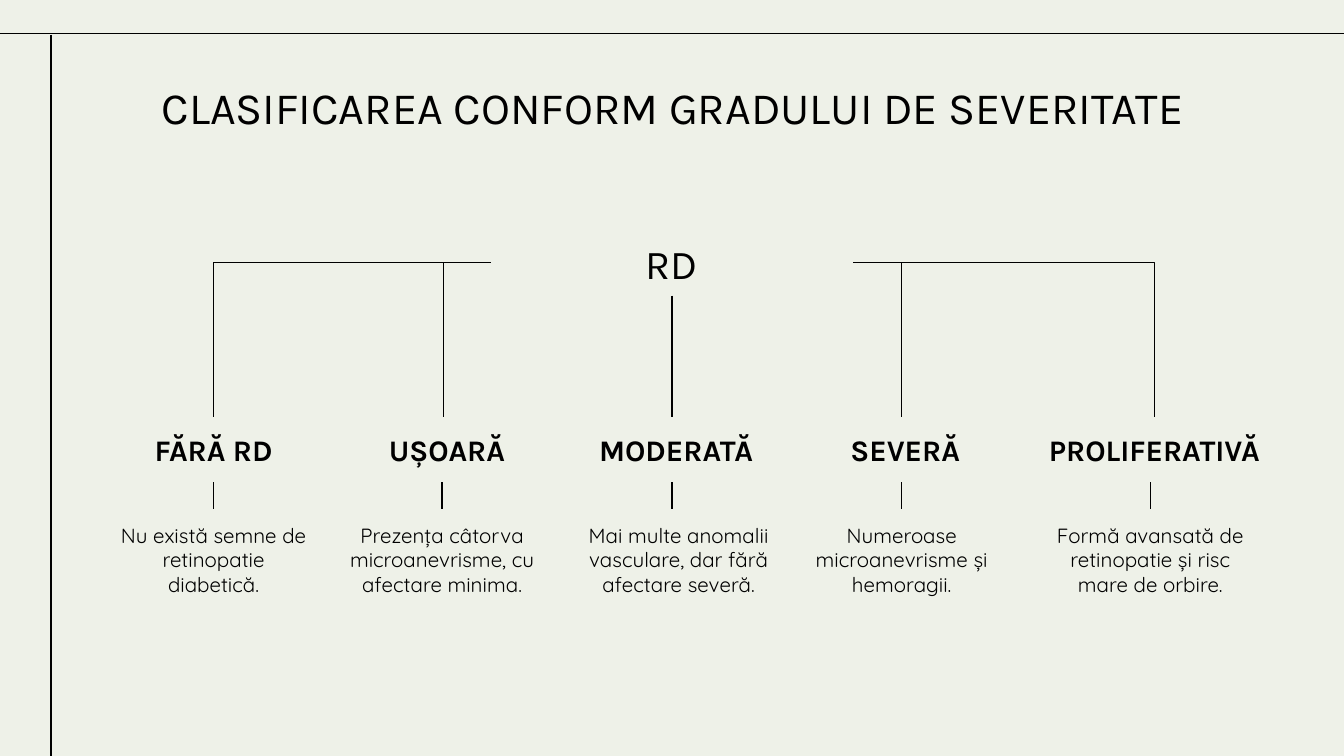
from lxml import etree
from pptx import Presentation
from pptx.dml.color import RGBColor
from pptx.enum.shapes import MSO_CONNECTOR
from pptx.enum.text import MSO_ANCHOR, PP_ALIGN
from pptx.oxml.ns import qn
from pptx.util import Inches, Pt

STRAIGHT, ELBOW = MSO_CONNECTOR.STRAIGHT, MSO_CONNECTOR.ELBOW
TOP_ANCHOR, MIDDLE = MSO_ANCHOR.TOP, MSO_ANCHOR.MIDDLE
CENTER = PP_ALIGN.CENTER
TOP, LEFT, BOTTOM, RIGHT = range(4)  # connection sites

COLORS = {"background": "EEF1E8", "ink": "000000"}
HEADING_FONT, BODY_FONT = "Karla", "Quicksand"
SLIDE_W = 10
SLIDE_H = SLIDE_W * 9 / 16
INSET = 0.1
LABEL_H, STEM_H, DESCRIPTION_H = 0.49, 0.2, 0.8
STEM_X = 0.8  # from the left edge of a description

# label, label left, label width, label indent, description, left, width
GRADES = [
    ("FĂRĂ RD", 0, 1.6, 0,
     "Nu există semne de retinopatie diabetică.", 0, 1.6),
    ("UȘOARĂ", 1.71, 1.6, 0.05,
     "Prezența câtorva microanevrisme, cu afectare minima.", 1.7, 1.6),
    ("MODERATĂ", 3.41, 1.6, 0.06,
     "Mai multe anomalii vasculare, dar fără afectare severă.", 3.41, 1.7),
    ("SEVERĂ", 5.12, 1.6, 0.05,
     "Numeroase microanevrisme și hemoragii.", 5.12, 1.6),
    ("PROLIFERATIVĂ", 6.82, 1.96, 0,
     "Formă avansată de retinopatie și risc mare de orbire.", 6.97, 1.6),
]


def add_text(slide, text, left, top, width, height, *, size, font=HEADING_FONT,
             bold=False, anchor=MIDDLE, indent=0):
    box = slide.shapes.add_textbox(Inches(left), Inches(top),
                                   Inches(width), Inches(height))
    frame = box.text_frame
    frame.word_wrap = True
    frame.vertical_anchor = anchor
    frame.margin_left = Inches(INSET + indent)
    frame.margin_right = frame.margin_top = frame.margin_bottom = Inches(INSET)
    paragraph = frame.paragraphs[0]
    paragraph.alignment = CENTER
    run = paragraph.add_run()
    run.text = text
    run.font.name = font
    run.font.size = Pt(size)
    run.font.bold = bold
    run.font.color.rgb = RGBColor.from_string(COLORS["ink"])
    return box


def add_line(slide, x1, y1, x2, y2, kind=STRAIGHT):
    line = slide.shapes.add_connector(kind, Inches(x1), Inches(y1),
                                      Inches(x2), Inches(y2))
    line.line.color.rgb = RGBColor.from_string(COLORS["ink"])
    line.line.width = Pt(0.75)
    properties = line._element.spPr
    etree.SubElement(properties, qn("a:effectLst"))
    if kind == ELBOW:  # a single corner
        properties.find(qn("a:prstGeom")).set("prst", "bentConnector2")
    return line


def add_frame(slide, left, top, width, height):
    add_line(slide, left - 0.05, top, left + width + 0.02, top)
    add_line(slide, left + 0.38, top + 0.01, left + 0.38, top + height)


def add_grade(slide, left, top, grade):
    """Place a label, its stem and its description; return the label."""
    name, label_x, label_w, indent, description, text_x, text_w = grade
    label = add_text(slide, name, left + label_x, top, label_w, LABEL_H,
                     size=16, bold=True, indent=indent)
    stem_top = top + LABEL_H
    text_top = stem_top + STEM_H
    body = add_text(slide, description, left + text_x, text_top, text_w,
                    DESCRIPTION_H, size=11, font=BODY_FONT, anchor=TOP_ANCHOR)
    stem_x = text_x + STEM_X
    stem = add_line(slide, left + stem_x, stem_top, left + stem_x, text_top)
    # Join only the ends that lie at the middle of a side
    if abs(label_x + label_w / 2 - stem_x) < 0.005:
        stem.begin_connect(label, BOTTOM)
    if abs(text_x + text_w / 2 - stem_x) < 0.005:
        stem.end_connect(body, TOP)
    return label


def add_tree(slide, left, top, width):
    root_w, root_h, drop = 2.7, 0.49, 1.39
    root_x = left + (width - root_w) / 2
    root = add_text(slide, "RD", root_x, top, root_w, root_h, size=22)
    middle = len(GRADES) // 2
    for index, grade in enumerate(GRADES):
        label = add_grade(slide, left, top + drop, grade)
        label_mid = left + grade[1] + grade[2] / 2
        if index == middle:
            start, side, kind = (label_mid, top + root_h), BOTTOM, STRAIGHT
        elif index < middle:
            start, side, kind = (root_x, top + root_h / 2), LEFT, ELBOW
        else:
            start, side, kind = (root_x + root_w, top + root_h / 2), RIGHT, ELBOW
        branch = add_line(slide, *start, label_mid, top + drop, kind)
        branch.begin_connect(root, side)
        branch.end_connect(label, TOP)


def main():
    presentation = Presentation()
    presentation.slide_width = Inches(SLIDE_W)
    presentation.slide_height = Inches(SLIDE_H)
    slide = presentation.slides.add_slide(presentation.slide_layouts[6])
    background = slide.background.fill
    background.solid()
    background.fore_color.rgb = RGBColor.from_string(COLORS["background"])

    add_frame(slide, 0, 0.25, SLIDE_W, SLIDE_H - 0.25)
    add_text(slide, "CLASIFICAREA CONFORM GRADULUI DE SEVERITATE",
             0.79, 0.49, 8.43, 0.63, size=24, anchor=TOP_ANCHOR)
    add_tree(slide, 0.79, 1.71, 8.42)
    presentation.save("out.pptx")


if __name__ == "__main__":
    main()
